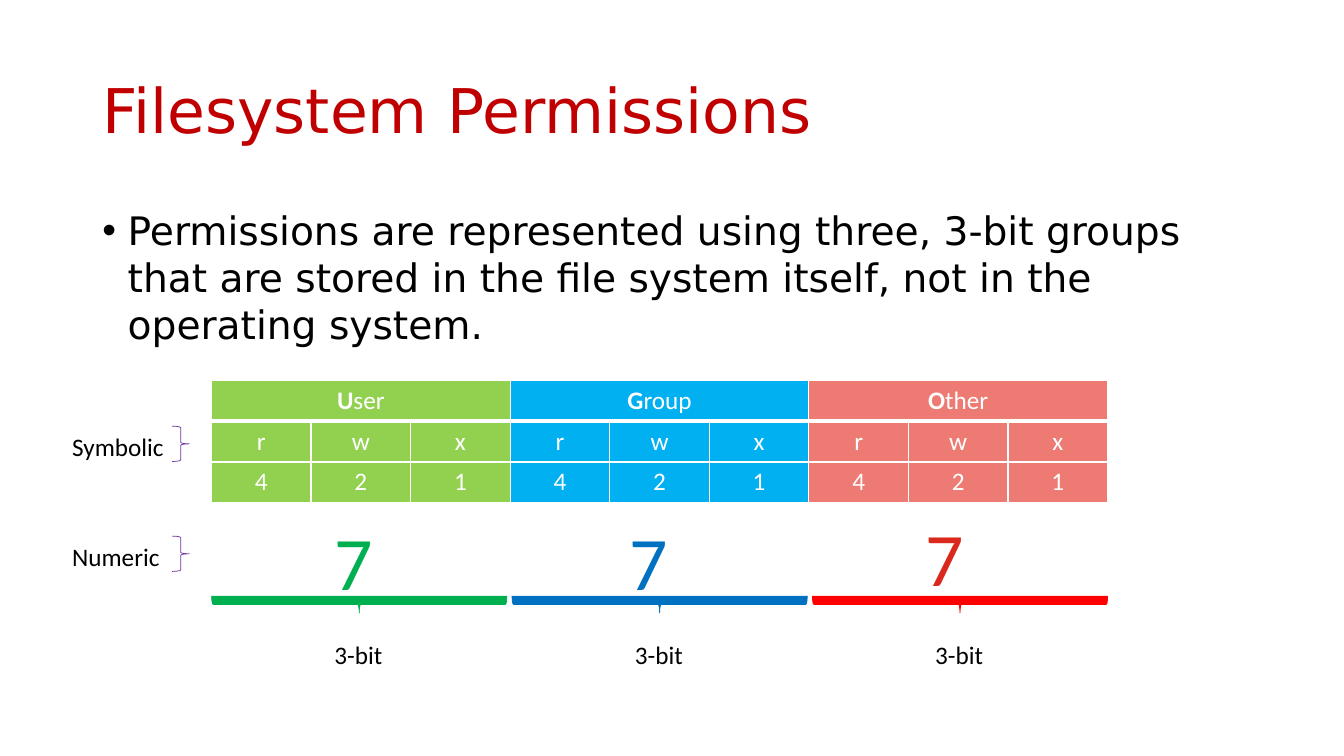
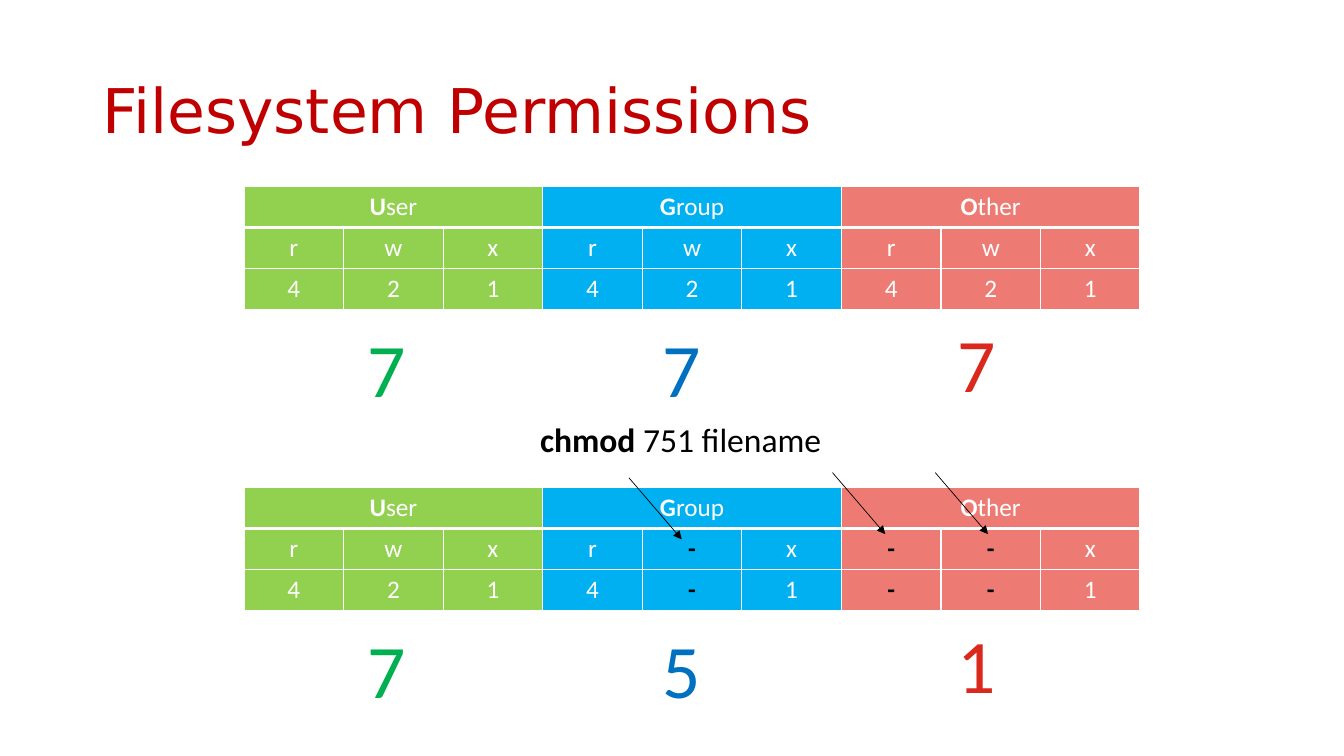
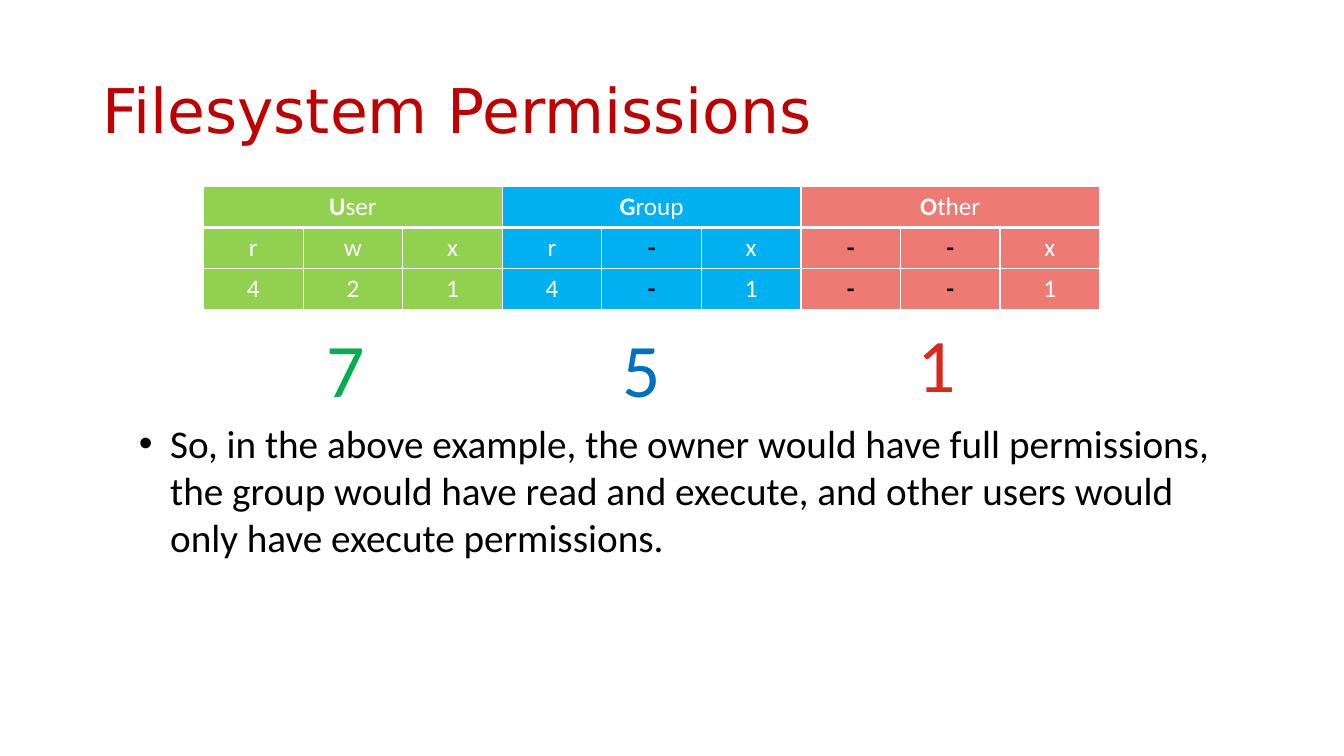
"""Build three slides on filesystem permissions."""
import pptx
import pptx.dml.color
import pptx.enum.shapes
import pptx.enum.text
import pptx.oxml
import pptx.oxml.ns
import pptx.util

Cm = pptx.util.Cm
Pt = pptx.util.Pt
qn = pptx.oxml.ns.qn
shapes = pptx.enum.shapes
enums = pptx.enum.text
NS = pptx.oxml.ns.nsdecls("a")
MID = enums.PP_ALIGN.CENTER
BLACK, WHITE, RED, PURPLE = "000000", "FFFFFF", "C00000", "7030A0"
HEAD = {"name": "DejaVu Sans", "size": Pt(44)}
BODY = {"name": "DejaVu Sans", "size": Pt(28)}
NOTE = {"name": "Calibri", "size": Pt(28)}
CODE = {"name": "Calibri", "size": Pt(24)}
SMALL = {"name": "Calibri", "size": Pt(18)}
LARGE = {"name": "Calibri", "size": Pt(54)}
GROUPS = [
    ("User", "92D050", "00B050"),
    ("Group", "00B0F0", "0070C0"),
    ("Other", "ED7B73", "DA291C"),
]
BITS = [("r", 4), ("w", 2), ("x", 1)]
COL, ROW = 2.51, 1.03


def tint(code):
    """Turn a hex string into a colour."""
    return pptx.dml.color.RGBColor.from_string(code)


def put(frame, parts, shade, look, align=None, bold=False, dent=0):
    """Write one paragraph, with its first part bold if asked."""
    para = frame.paragraphs[0]
    para.alignment = align
    if dent:
        props = para._p.get_or_add_pPr()
        props.set("marL", str(Cm(dent)))
        props.set("indent", str(-Cm(dent)))
        props.append(pptx.oxml.parse_xml(f'<a:buFont {NS} typeface="Arial"/>'))
        props.append(pptx.oxml.parse_xml(f'<a:buChar {NS} char="•"/>'))
    for n, part in enumerate(parts):
        run = para.add_run()
        run.text = part
        for key, value in look.items():
            setattr(run.font, key, value)
        run.font.bold = bold and n == 0
        run.font.color.rgb = tint(shade)


deck = pptx.Presentation()
deck.slide_width, deck.slide_height = Cm(33.87), Cm(19.05)
pages = [deck.slides.add_slide(deck.slide_layouts[6]) for _ in range(3)]
first, second, third = pages

for page in pages:
    frame = page.shapes.add_textbox(Cm(2.33), Cm(1.02), Cm(29.21), Cm(3.68)).text_frame
    frame.word_wrap = True
    frame.vertical_anchor = enums.MSO_ANCHOR.MIDDLE
    put(frame, ["Filesystem Permissions"], RED, HEAD)
    frame.paragraphs[0].line_spacing = 0.9

labels = [
    (first, 1.57, 10.74, 2.84, ["Symbolic"], BLACK, SMALL, None),
    (first, 1.57, 13.51, 2.74, ["Numeric"], BLACK, SMALL, None),
    (second, 13.36, 10.44, 7.65, ["chmod", " 751 filename"], BLACK, CODE, None),
]

grids = [
    (first, 5.33, 9.58, "777"),
    (second, 6.15, 4.7, "777"),
    (second, 6.15, 12.29, "751"),
    (third, 5.13, 4.7, "751"),
]
for page, left, top, mode in grids:
    grid = page.shapes.add_table(3, 9, Cm(left), Cm(top), Cm(9 * COL), Cm(3 * ROW)).table
    for col in grid.columns:
        col.width = Cm(COL)
    for row in grid.rows:
        row.height = Cm(ROW)
    for g, (name, fill, ink) in enumerate(GROUPS):
        digit = mode[g]
        grid.cell(0, 3 * g).merge(grid.cell(0, 3 * g + 2))
        put(grid.cell(0, 3 * g).text_frame, [name[0], name[1:]], WHITE, SMALL, MID, True)
        for b, (sign, weight) in enumerate(BITS):
            isset = int(digit) & weight
            for r, text in enumerate((sign, str(weight)), 1):
                frame = grid.cell(r, 3 * g + b).text_frame
                if isset:
                    put(frame, [text], WHITE, SMALL, MID)
                else:
                    put(frame, ["-"], BLACK, SMALL, MID, True)
            for r in range(3):
                cell = grid.cell(r, 3 * g + b)
                for side in "LRTB":
                    thick = (r, side) in ((0, "B"), (1, "T"))
                    cell._tc.get_or_add_tcPr().append(pptx.oxml.parse_xml(
                        f'<a:ln{side} {NS} w="{Pt(3 if thick else 1)}"><a:solidFill>'
                        f'<a:srgbClr val="{WHITE}"/></a:solidFill></a:ln{side}>'))
                cell.fill.solid()
                cell.fill.fore_color.rgb = tint(fill)
        drop = 3.16 if g == 2 else 3.28
        labels.append((page, left + 2.84 + 7.44 * g, top + drop, 1.5, [digit], ink, LARGE, MID))

braces = [(shapes.MSO_SHAPE.RIGHT_BRACE, 4.34, top, 0.89, 0, None, PURPLE) for top in (10.74, 13.51)]
for g, shade in enumerate(("00B050", "0070C0", "FF0000")):
    braces.append((shapes.MSO_SHAPE.LEFT_BRACE, 8.84 + 7.57 * g, 11.51, 7.44, 270, shade, shade))
    labels.append((first, 8.18 + 7.57 * g, 15.98, 1.73, ["3-bit"], BLACK, SMALL, None))

for kind, left, top, high, turn, fill, shade in braces:
    brace = first.shapes.add_shape(kind, Cm(left), Cm(top), Cm(0.43), Cm(high))
    brace.shadow.inherit = False
    brace.rotation = turn
    if fill:
        brace.fill.solid()
        brace.fill.fore_color.rgb = tint(fill)
    else:
        brace.fill.background()
    brace.line.color.rgb = tint(shade)
    brace.line.width = Pt(0.5)

for page, left, top, wide, parts, shade, look, align in labels:
    high = look["size"].cm * 1.22 + 0.25
    frame = page.shapes.add_textbox(Cm(left), Cm(top), Cm(wide), Cm(high)).text_frame
    frame.word_wrap = False
    frame.auto_size = enums.MSO_AUTO_SIZE.SHAPE_TO_FIT_TEXT
    put(frame, parts, shade, look, align, len(parts) > 1)

points = [
    (first, 2.33, 5.08, 29.21, 4.3, BODY, 0.64,
     "Permissions are represented using three, 3-bit groups that are stored "
     "in the file system itself, not in the operating system."),
    (third, 3.25, 10.44, 28.3, 3.84, NOTE, 0.79,
     "So, in the above example, the owner would have full permissions, the group would "
     "have read and execute, and other users would only have execute permissions."),
]
for page, left, top, wide, high, look, dent, text in points:
    frame = page.shapes.add_textbox(Cm(left), Cm(top), Cm(wide), Cm(high)).text_frame
    frame.word_wrap = True
    put(frame, [text], BLACK, look, dent=dent)

for left, top in ((15.85, 12.04), (20.98, 11.91), (23.57, 11.91)):
    arrow = second.shapes.add_connector(
        shapes.MSO_CONNECTOR.STRAIGHT, Cm(left), Cm(top), Cm(left + 1.33), Cm(top + 1.55))
    arrow.line.color.rgb = tint(BLACK)
    arrow.line.width = Pt(0.5)
    props = arrow._element.spPr
    props.find(qn("a:ln")).append(pptx.oxml.parse_xml(f'<a:tailEnd {NS} type="triangle"/>'))
    props.append(pptx.oxml.parse_xml(f"<a:effectLst {NS}/>"))

deck.save("out.pptx")
